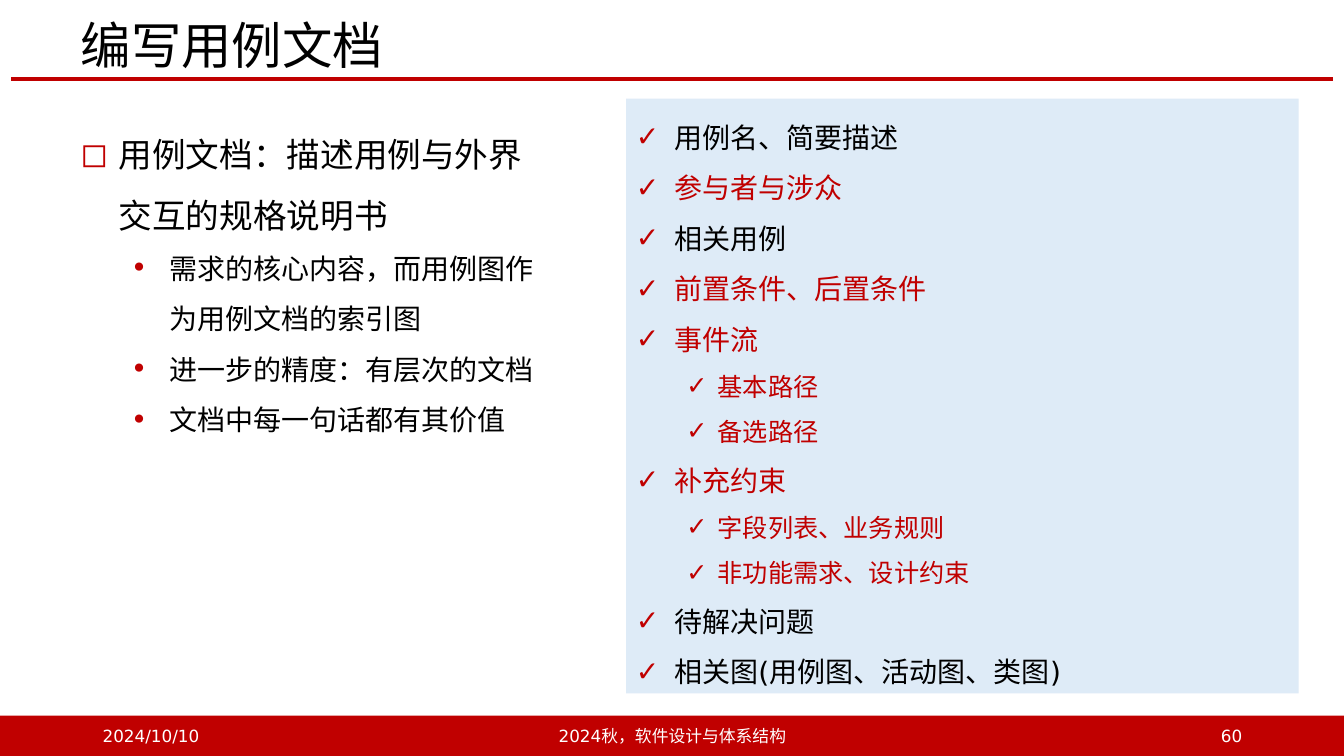
from lxml.etree import SubElement
from pptx import Presentation
from pptx.dml.color import RGBColor
from pptx.enum.shapes import MSO_CONNECTOR, MSO_SHAPE
from pptx.enum.text import MSO_ANCHOR, MSO_AUTO_SIZE, PP_ALIGN
from pptx.oxml.ns import qn
from pptx.util import Inches, Pt


class Theme:
    red = RGBColor(0xC0, 0x00, 0x00)
    pale = RGBColor(0xDE, 0xEB, 0xF7)
    black = RGBColor(0x00, 0x00, 0x00)
    white = RGBColor(0xFF, 0xFF, 0xFF)
    sans = "DejaVu Sans"
    han = "Noto Sans CJK SC"
    title, lead, body, sub, foot = 36, 24, 20, 18, 12


def write(frame, text, size=Theme.body, color=Theme.black, font=Theme.sans,
          align=PP_ALIGN.LEFT, space=1.0, bullet=None, left=0, hang=0, level=0):
    """Add a paragraph to the frame, filling its first one if still empty."""
    para = frame.paragraphs[0]
    if para.runs:
        para = frame.add_paragraph()
    if bullet:
        props = para._p.get_or_add_pPr()
        props.set("marL", str(Inches(left)))
        props.set("indent", str(-Inches(hang)))
        tint = SubElement(props, qn("a:buClr"))
        SubElement(tint, qn("a:srgbClr"), val=str(Theme.red))
        SubElement(props, qn("a:buFont"), typeface=Theme.sans)
        SubElement(props, qn("a:buChar"), char=bullet)
    para.level = level
    para.alignment = align
    para.line_spacing = space
    para.space_before = para.space_after = Pt(0)
    run = para.add_run()
    run.text = text
    run.font.size = Pt(size)
    run.font.color.rgb = color
    run.font.name = font
    SubElement(run._r.get_or_add_rPr(), qn("a:ea"), typeface=Theme.han)


def block(left, top, width, height, fill):
    shape = slide.shapes.add_shape(
        MSO_SHAPE.RECTANGLE, Inches(left), Inches(top), Inches(width), Inches(height))
    shape.shadow.inherit = False
    shape.fill.solid()
    shape.fill.fore_color.rgb = fill
    shape.line.fill.background()
    return shape


wide, high = 13.33, 7.5
edge, foot = 0.7, 0.4
deck = Presentation()
deck.slide_width, deck.slide_height = Inches(wide), Inches(high)
slide = deck.slides.add_slide(deck.slide_layouts[5])

# Title and rule
title = slide.shapes.title
title.left, title.top = Inches(edge), Inches(0.18)
title.width, title.height = Inches(11.71), Inches(0.6)
title.text_frame.auto_size = MSO_AUTO_SIZE.NONE
title.text_frame.vertical_anchor = MSO_ANCHOR.MIDDLE
write(title.text_frame, "编写用例文档", size=Theme.title, font=Theme.han, space=0.9)

rule = slide.shapes.add_connector(
    MSO_CONNECTOR.STRAIGHT, Inches(0.11), Inches(0.78), Inches(wide - 0.11), Inches(0.78))
rule.line.color.rgb = Theme.red
rule.line.width = Pt(3)
SubElement(rule._element.spPr, qn("a:effectLst"))

# Footer
block(0, high - foot, wide, foot, Theme.red)
for text, left, width, align in [
    ("2024/10/10", 0.92, 3, PP_ALIGN.LEFT),
    ("2024秋，软件设计与体系结构", 4.42, 4.5, PP_ALIGN.CENTER),
    ("60", 9.42, 3, PP_ALIGN.RIGHT),
]:
    label = slide.shapes.add_textbox(
        Inches(left), Inches(high - foot), Inches(width), Inches(foot))
    label.text_frame.word_wrap = True
    label.text_frame.vertical_anchor = MSO_ANCHOR.MIDDLE
    write(label.text_frame, text, size=Theme.foot, color=Theme.white, align=align)

# Left column
notes = slide.shapes.add_textbox(
    Inches(edge), Inches(1.08), Inches(4.76), Inches(3.27)).text_frame
notes.word_wrap = True
write(notes, "用例文档：描述用例与外界交互的规格说明书", size=Theme.lead,
      font=Theme.han, space=1.5, bullet="◻", left=0.38, hang=0.38)
for text in [
    "需求的核心内容，而用例图作为用例文档的索引图",
    "进一步的精度：有层次的文档",
    "文档中每一句话都有其价值",
]:
    write(notes, text, font=Theme.han, space=1.5,
          bullet="•", left=0.88, hang=0.38, level=1)

# Checklist panel
panel = block(6.21, 0.98, 6.67, 5.9, Theme.pale).text_frame
panel.word_wrap = True
panel.vertical_anchor = MSO_ANCHOR.TOP
steps = [
    dict(size=Theme.body, left=0.38, hang=0.38),
    dict(size=Theme.sub, left=0.81, hang=0.31),
]
for text, level, color in [
    ("用例名、简要描述", 0, Theme.black),
    ("参与者与涉众", 0, Theme.red),
    ("相关用例", 0, Theme.black),
    ("前置条件、后置条件", 0, Theme.red),
    ("事件流", 0, Theme.red),
    ("基本路径", 1, Theme.red),
    ("备选路径", 1, Theme.red),
    ("补充约束", 0, Theme.red),
    ("字段列表、业务规则", 1, Theme.red),
    ("非功能需求、设计约束", 1, Theme.red),
    ("待解决问题", 0, Theme.black),
    ("相关图(用例图、活动图、类图)", 0, Theme.black),
]:
    write(panel, text, color=color, space=1.5, bullet="✓", level=level, **steps[level])

deck.save("out.pptx")
